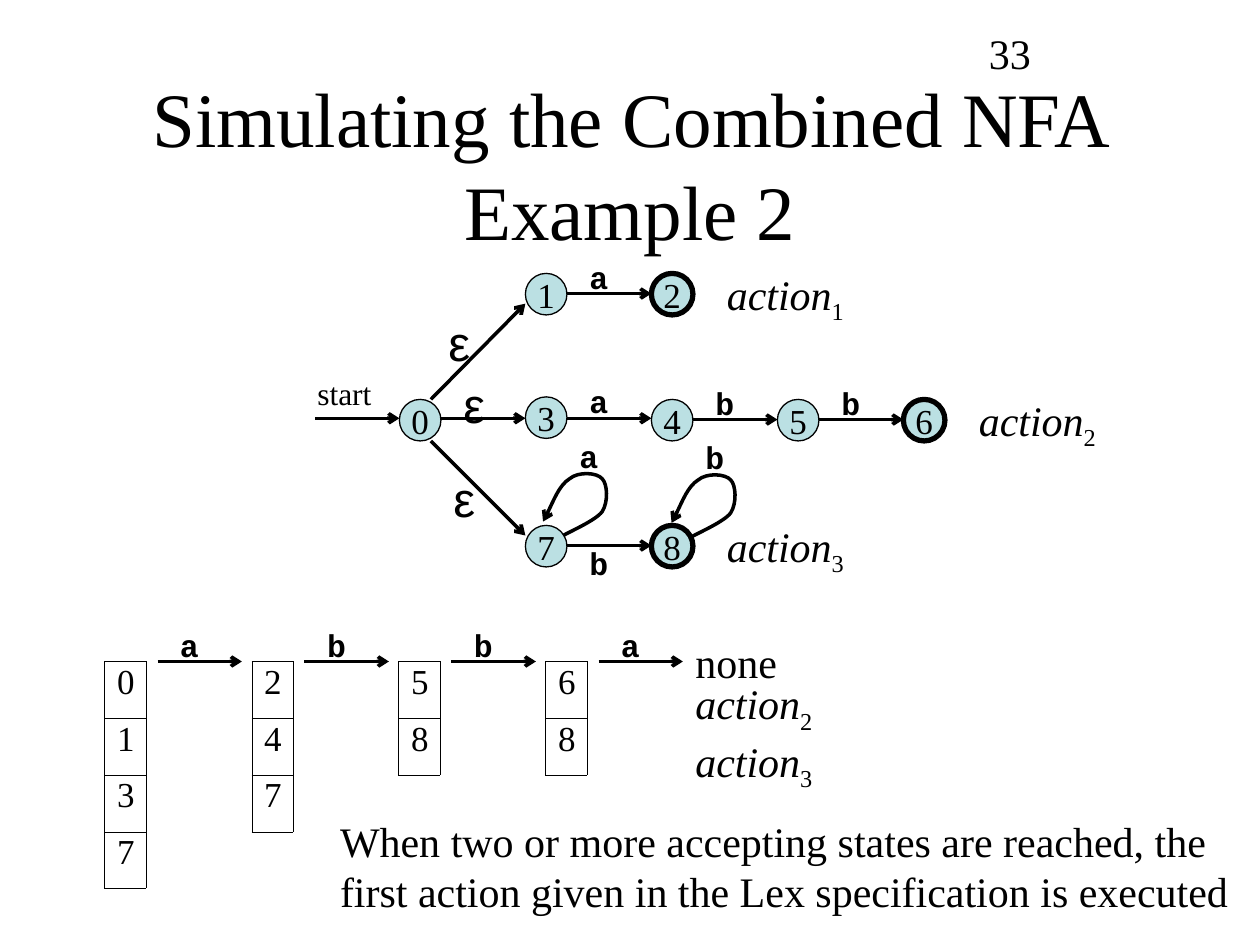
from lxml import etree
from pptx import Presentation
from pptx.dml import color
from pptx.enum import shapes, text
from pptx.oxml import ns
from pptx.util import Inches, Pt

SERIF, MONO, SANS = "Times New Roman", "Courier New", "Arial"
BLACK, PALE_BLUE = "000000", "BBE0E3"
STATE_SIZE = 0.33


def rgb(value):
    """Turn a hex string into a colour."""
    return color.RGBColor.from_string(value)


def style(font, size, name=SERIF, bold=False, italic=False):
    """Set the look of some black text."""
    font.size, font.name, font.bold, font.italic = Pt(size), name, bold, italic
    font.color.rgb = rgb(BLACK)


def add_box(page, left, top, width, height):
    """Add an empty text box that does not wrap."""
    box = page.shapes.add_textbox(*map(Inches, (left, top, width, height)))
    box.text_frame.word_wrap = False
    return box.text_frame


def add_label(page, words, left, top, width, height, size, font=SERIF, bold=False):
    """Add a text box holding words in one style."""
    frame = add_box(page, left, top, width, height)
    frame.text = words
    for span in frame.paragraphs[0].runs:
        style(span.font, size, font, bold)


def add_symbol(page, letter, left, top):
    """Add the input letter of a transition."""
    add_label(page, letter, left, top, 0.35, 0.4, 18, MONO, True)


def add_actions(page, numbers, left, top, height):
    """Add action names with subscript numbers, one to a line."""
    paragraph = add_box(page, left, top, 1.13, height).paragraphs[0]
    for index, number in enumerate(numbers):
        if index:
            paragraph.add_line_break()
        for words, is_name in (("action", True), (number, False)):
            span = paragraph.add_run()
            span.text = words
            style(span.font, 24, italic=is_name)
            if not is_name:
                span._r.get_or_add_rPr().set("baseline", "-25000")


def add_state(page, number, left, top, accepting=False):
    """Add a state circle, with a thick outline when accepting."""
    circle = page.shapes.add_shape(
        shapes.MSO_SHAPE.OVAL, *map(Inches, (left, top, STATE_SIZE, STATE_SIZE)))
    circle.shadow.inherit = False
    circle.fill.solid()
    circle.fill.fore_color.rgb = rgb(PALE_BLUE)
    circle.line.color.rgb = rgb(BLACK)
    circle.line.width = Pt(3 if accepting else 0.75)
    frame = circle.text_frame
    frame.word_wrap = False
    frame.vertical_anchor = text.MSO_ANCHOR.MIDDLE
    frame.text = number
    paragraph = frame.paragraphs[0]
    paragraph.alignment = text.PP_ALIGN.CENTER
    style(paragraph.runs[0].font, 20)


def set_arrow_line(shape):
    """Give a line its colour, width and arrowhead."""
    shape.line.color.rgb = rgb(BLACK)
    shape.line.width = Pt(2)
    etree.SubElement(shape.line._get_or_add_ln(), ns.qn("a:tailEnd"), type="arrow")


def add_arrow(page, *ends):
    """Add a straight arrow."""
    arrow = page.shapes.add_connector(
        shapes.MSO_CONNECTOR.STRAIGHT, *map(Inches, ends))
    set_arrow_line(arrow)
    etree.SubElement(arrow._element.spPr, ns.qn("a:effectLst"))


def add_loop(page, left, top):
    """Add a curved arrow that leaves a state and returns to it."""
    points = [(0.16, 0.51), (0.21, 0.48), (0.42, 0.39), (0.47, 0.32),
              (0.52, 0.24), (0.51, 0.1), (0.47, 0.06), (0.43, 0.01),
              (0.28, 0), (0.21, 0.06), (0.13, 0.11), (0.04, 0.33), (0, 0.4)]
    places = [(Inches(left + x), Inches(top + y)) for x, y in points]
    builder = page.shapes.build_freeform(*places[0])
    builder.add_line_segments(places[1:], close=False)
    loop = builder.convert_to_shape()
    loop.shadow.inherit = False
    loop.fill.background()
    set_arrow_line(loop)
    outline = next(loop._element.iter(ns.qn("a:path")))
    steps = outline.findall(ns.qn("a:lnTo"))
    for start in range(0, len(steps), 3):
        curve = etree.SubElement(outline, ns.qn("a:cubicBezTo"))
        for step in steps[start:start + 3]:
            curve.append(step[0])
            outline.remove(step)


def set_borders(cell):
    """Draw a hairline on all four sides of a cell."""
    properties = cell._tc.get_or_add_tcPr()
    for index, side in enumerate(("lnL", "lnR", "lnT", "lnB")):
        line = etree.Element(ns.qn("a:" + side), w=str(Pt(0.06)))
        fill = etree.SubElement(line, ns.qn("a:solidFill"))
        etree.SubElement(fill, ns.qn("a:srgbClr"), val=BLACK)
        properties.insert(index, line)


def add_state_set(page, numbers, left, top):
    """Add a one-column table of the states reached."""
    row_height = 0.45
    table = page.shapes.add_table(len(numbers), 1, *map(Inches, (
        left, top, STATE_SIZE, row_height * len(numbers)))).table
    table.first_row = table.horz_banding = False
    for index, number in enumerate(numbers):
        cell = table.cell(index, 0)
        cell.fill.background()
        set_borders(cell)
        cell.text_frame.text = number
        paragraph = cell.text_frame.paragraphs[0]
        paragraph.line_spacing = 0.86
        style(paragraph.runs[0].font, 20)


def add_title(page, words):
    """Fill and place the title."""
    title = page.shapes.title
    title.left, title.top, title.width, title.height = map(
        Inches, (0.75, 0.67, 8.5, 1.25))
    frame = title.text_frame
    frame.text = words
    frame.word_wrap = True
    frame.auto_size = text.MSO_AUTO_SIZE.NONE
    frame.vertical_anchor = text.MSO_ANCHOR.MIDDLE
    frame.paragraphs[0].alignment = text.PP_ALIGN.CENTER
    style(frame.paragraphs[0].runs[0].font, 44)


def add_automaton(page):
    """Draw the combined automaton."""
    for ends in ((2.5, 3.32, 3.17, 3.32), (3.5, 3.32, 4.17, 3.32),
                 (3.42, 3.17, 4.17, 2.41), (3.42, 3.5, 4.17, 4.25)):
        add_arrow(page, *ends)
    for left, top in ((4.5, 2.33), (4.5, 3.32), (5.5, 3.33), (6.5, 3.33), (4.5, 4.33)):
        add_arrow(page, left, top, left + 0.67, top)
    for number, left, top in (("0", 3.17, 3.17), ("1", 4.17, 2.17), ("2", 5.17, 2.17),
                              ("3", 4.17, 3.15), ("4", 5.17, 3.17), ("5", 6.17, 3.17),
                              ("6", 7.17, 3.17), ("7", 4.17, 4.17), ("8", 5.17, 4.17)):
        add_state(page, number, left, top, accepting=number in "268")
    add_loop(page, 4.31, 3.74)
    add_loop(page, 5.33, 3.75)
    for letter, left, top in (("a", 4.58, 2), ("a", 4.58, 2.98), ("b", 5.58, 3),
                              ("b", 6.58, 3), ("b", 4.58, 4.27), ("a", 4.5, 3.42),
                              ("b", 5.5, 3.43)):
        add_symbol(page, letter, left, top)
    for left, top in ((3.46, 2.43), (3.58, 2.92), (3.5, 3.67)):
        add_label(page, "ε", left, top, 0.37, 0.57, 28, SANS)
    add_label(page, "start", 2.42, 2.92, 0.63, 0.4, 18)
    for number, left, top in (("1", 5.67, 2.08), ("2", 7.67, 3.08), ("3", 5.67, 4.08)):
        add_actions(page, number, left, top, 0.56)


def add_simulation(page):
    """Show the state sets reached by each input letter."""
    top = 5.25
    for index, (numbers, letter) in enumerate(
            (("0137", "a"), ("247", "b"), ("58", "b"), ("68", "a"))):
        left = 0.83 + index * 3.5 / 3
        add_state_set(page, numbers, left, top)
        add_arrow(page, left + 0.42, top, left + 1.09, top)
        add_symbol(page, letter, left + 0.5, 4.92)
    add_label(page, "none", 5.42, 5, 0.85, 0.5, 24)
    add_actions(page, "23", 5.42, 5.33, 1.01)
    add_label(page, "When two or more accepting states are reached, the\v"
              "first action given in the Lex specification is executed",
              2.6, 6.42, 7.25, 0.9, 24)


def main():
    """Build and save the slide."""
    deck = Presentation()
    deck.slide_width, deck.slide_height = Inches(10), Inches(7.5)
    page = deck.slides.add_slide(deck.slide_layouts[5])
    add_title(page, "Simulating the Combined NFA Example 2")
    add_automaton(page)
    add_simulation(page)
    add_label(page, "33", 7.75, 0.17, 0.53, 0.5, 24)
    deck.save("out.pptx")


if __name__ == "__main__":
    main()
